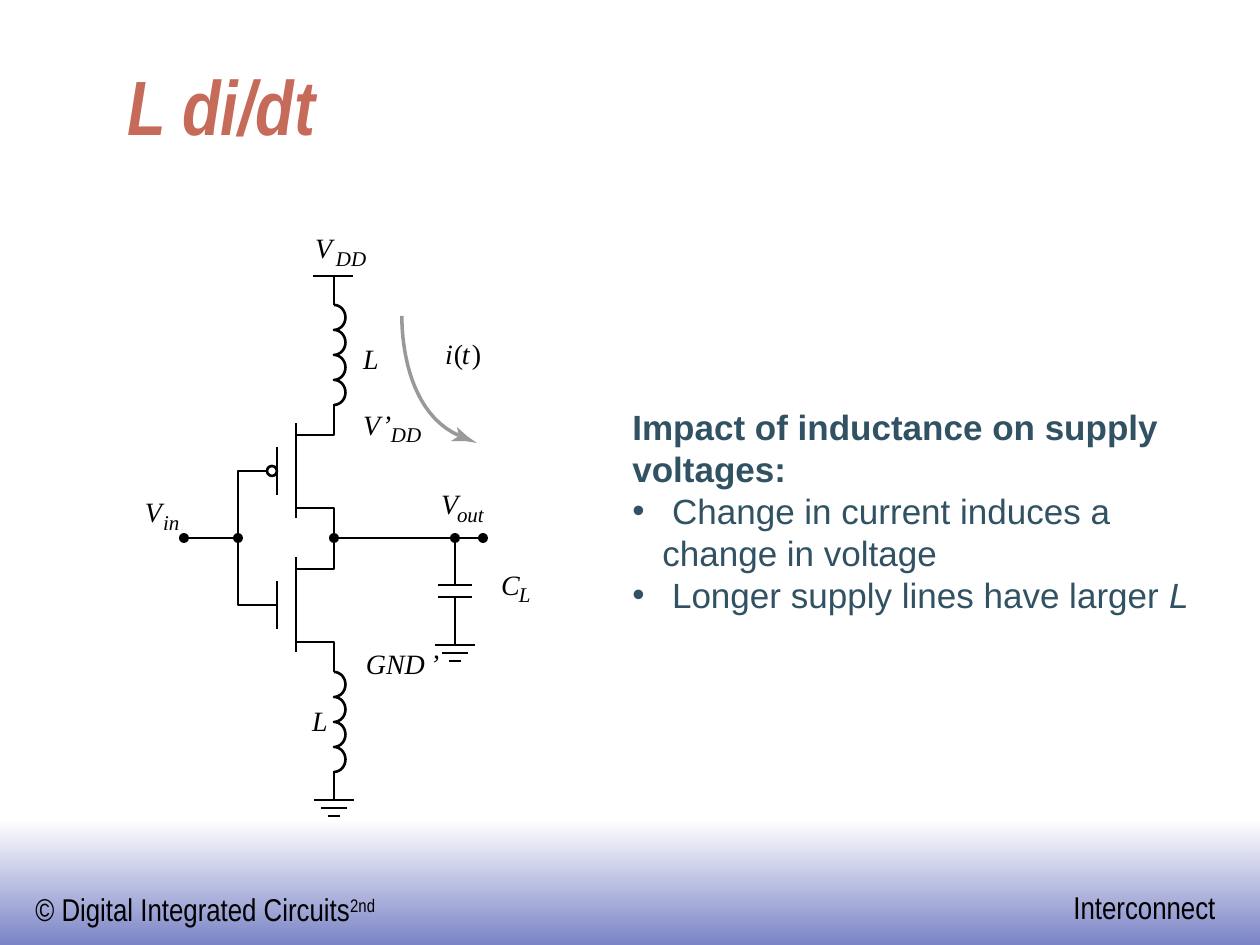
"""Build the slide on inductive supply noise, with its inverter circuit."""
import math
from dataclasses import dataclass

import pptx
import pptx.dml.color
import pptx.enum.shapes
import pptx.enum.text
import pptx.oxml.ns
import pptx.util

PX = 914400 / 126
BLACK, GREY, RUST, TEAL = "000000", "999999", "C66B5A", "315263"
THIN, THICK = 1, 1.5
GATE_X, PLATE_X, CHANNEL_X, SUPPLY_X, LOAD_X = 238, 277, 296, 334, 455
MID_Y = 538
Point = tuple[float, float]


@dataclass
class Run:
    """A stretch of text in one style."""
    text: str
    size: int
    font: str
    color: str = BLACK
    bold: bool = False
    italic: bool = False
    raised: bool = False


@dataclass
class Label:
    """A circuit symbol and its place."""
    text: str
    x: int
    y: int
    width: int
    size: int = 16
    italic: bool = True


LABELS = [
    Label("C", 501, 568, 19), Label("L", 519, 582, 13, 12),
    Label("V", 363, 408, 19), Label("’", 382, 408, 10), Label("DD", 391, 422, 32, 12),
    Label("V", 315, 231, 19), Label("DD", 336, 246, 32, 12),
    Label("L", 363, 342, 18),
    Label("i", 445, 337, 9), Label("(", 454, 337, 10, italic=False),
    Label("t", 462, 337, 10), Label(")", 472, 337, 10, italic=False),
    Label("V", 441, 487, 19), Label("out", 457, 502, 33, 12),
    Label("V", 145, 495, 19), Label("in", 163, 510, 19, 12),
    Label("GND", 366, 646, 64), Label("’", 430, 646, 10),
    Label("L", 312, 704, 18),
]


def emu(px: float) -> int:
    """Turn px into EMU."""
    return round(px * PX)


def rgb(color: str) -> pptx.dml.color.RGBColor:
    """Turn a hex string into a colour."""
    return pptx.dml.color.RGBColor.from_string(color)


def add_text(shapes, box: tuple, paragraphs: list[list[Run]], wrap: bool = False,
             inset: tuple[float, float] = (12.6, 6.3), anchor: str = "TOP"):
    """Add a text box made of runs and return its text frame."""
    frame = shapes.add_textbox(*map(emu, box)).text_frame
    frame.word_wrap = wrap
    if not wrap:
        frame.auto_size = pptx.enum.text.MSO_AUTO_SIZE.SHAPE_TO_FIT_TEXT
    frame.vertical_anchor = pptx.enum.text.MSO_ANCHOR[anchor]
    frame.margin_left = frame.margin_right = emu(inset[0])
    frame.margin_top = frame.margin_bottom = emu(inset[1])
    for index, runs in enumerate(paragraphs):
        paragraph = frame.add_paragraph() if index else frame.paragraphs[0]
        for part in runs:
            run = paragraph.add_run()
            run.text = part.text
            run.font.size = pptx.util.Pt(part.size)
            run.font.name = part.font
            run.font.bold, run.font.italic = part.bold, part.italic
            run.font.color.rgb = rgb(part.color)
            if part.raised:
                run._r.get_or_add_rPr().set("baseline", "30000")
    return frame


def add_bullet(paragraph, color: str, indent: int) -> None:
    """Give a paragraph a hanging bullet."""
    properties = paragraph._p.get_or_add_pPr()
    properties.set("marL", str(emu(indent)))
    properties.set("indent", str(-emu(indent)))
    tint = properties.makeelement(pptx.oxml.ns.qn("a:buClr"), {})
    tint.append(tint.makeelement(pptx.oxml.ns.qn("a:srgbClr"), {"val": color}))
    properties.append(tint)
    for tag, name, value in (("a:buFont", "typeface", "Arial"), ("a:buChar", "char", "•")):
        properties.append(properties.makeelement(pptx.oxml.ns.qn(tag), {name: value}))


def add_line(shapes, start: Point, end: Point, width: float = THICK) -> None:
    """Draw one straight wire."""
    wire = shapes.add_connector(pptx.enum.shapes.MSO_CONNECTOR.STRAIGHT,
                                *map(emu, (*start, *end)))
    wire.line.width = pptx.util.Pt(width)
    wire.line.color.rgb = rgb(BLACK)
    wire._element.spPr.append(wire._element.makeelement(pptx.oxml.ns.qn("a:effectLst"), {}))


def paint(shape, fill: str | None, line: str | None, width: float = THICK) -> None:
    """Set fill and outline, and drop the shadow."""
    shape.shadow.inherit = False
    if fill:
        shape.fill.solid()
        shape.fill.fore_color.rgb = rgb(fill)
    else:
        shape.fill.background()
    if line:
        shape.line.color.rgb = rgb(line)
        shape.line.width = pptx.util.Pt(width)
    else:
        shape.line.fill.background()


def add_path(shapes, points: list[Point], fill: str | None = None,
             line: str | None = BLACK, width: float = THICK) -> None:
    """Draw a bent wire, or a filled outline."""
    corners = [(emu(x), emu(y)) for x, y in points]
    builder = shapes.build_freeform(*corners[0])
    builder.add_line_segments(corners[1:], close=fill is not None)
    paint(builder.convert_to_shape(), fill, line, width)


def add_circle(shapes, x: int, y: int, fill: str | None, line: str | None = None) -> None:
    """Draw a small circle around a point."""
    paint(shapes.add_shape(pptx.enum.shapes.MSO_SHAPE.OVAL,
                           *map(emu, (x - 5, y - 5, 10, 10))), fill, line)


def add_inductor(shapes, top: int) -> None:
    """Draw four half turns down the supply line."""
    turns, radius, steps = 4, 12.5, 16
    points = []
    for step in range(turns * steps + 1):
        turn, part = divmod(step, steps)
        angle = math.pi * part / steps
        points.append((SUPPLY_X + 11.5 * math.sin(angle),
                       top + radius * (2 * turn + 1 - math.cos(angle))))
    add_path(shapes, points)


def add_transistor(shapes, top: int) -> None:
    """Draw channel, gate plate and both terminals."""
    add_line(shapes, (CHANNEL_X, top), (CHANNEL_X, top + 95))
    add_line(shapes, (PLATE_X, top + 24), (PLATE_X, top + 72))
    for inner, outer in ((top + 12, top - 19), (top + 85, top + 115)):
        add_path(shapes, [(CHANNEL_X, inner), (SUPPLY_X, inner), (SUPPLY_X, outer)])


def add_ground(shapes, x: int, y: int) -> None:
    """Draw three shrinking ground bars."""
    for row, half in enumerate((20, 13, 6)):
        add_line(shapes, (x - half, y + 8 * row), (x + half, y + 8 * row))


def bezier(*controls: Point, steps: int = 24) -> list[Point]:
    """Return points along a cubic curve."""
    return [tuple(sum(math.comb(3, k) * (1 - t) ** (3 - k) * t ** k * c[axis]
                      for k, c in enumerate(controls)) for axis in (0, 1))
            for t in (step / steps for step in range(steps + 1))]


def add_circuit(shapes) -> None:
    """Draw the inverter with its supply inductors and load."""
    for top in (305, 672):
        add_inductor(shapes, top)
    for top in (423, 557):
        add_transistor(shapes, top)
    add_path(shapes, [(267, 471), (GATE_X, 471), (GATE_X, 605), (PLATE_X, 605)])
    add_line(shapes, (184, MID_Y), (GATE_X, MID_Y))
    for start, end in (((313, 276), (353, 276)), ((SUPPLY_X, 276), (SUPPLY_X, 305)),
                       ((SUPPLY_X, 771), (SUPPLY_X, 800)), ((SUPPLY_X, MID_Y), (483, MID_Y)),
                       ((LOAD_X, MID_Y), (LOAD_X, 585)), ((LOAD_X, 597), (LOAD_X, 645))):
        add_line(shapes, start, end, THIN)
    for y in (585, 597):
        add_line(shapes, (LOAD_X - 17, y), (LOAD_X + 17, y))
    add_ground(shapes, LOAD_X, 645)
    add_ground(shapes, SUPPLY_X, 800)
    for x in (184, GATE_X, SUPPLY_X, LOAD_X, 483):
        add_circle(shapes, x, MID_Y, BLACK)
    add_circle(shapes, 272, 471, None, BLACK)
    for label in LABELS:
        symbol = Run(label.text, label.size, "Times New Roman", italic=label.italic)
        add_text(shapes, (label.x, label.y, label.width, 2 * label.size + 2),
                 [[symbol]], inset=(0, 0))
    add_path(shapes, bezier((402, 316), (402, 316), (399, 410), (460, 436)),
             line=GREY, width=2)
    add_path(shapes, [(459, 436), (457, 427), (467, 436), (477, 443), (465, 441), (451, 441)],
             fill=GREY, line=None)


def main() -> None:
    """Build and save the slide."""
    deck = pptx.Presentation()
    deck.slide_width, deck.slide_height = emu(1260), emu(945)
    shapes = deck.slides.add_slide(deck.slide_layouts[6]).shapes

    band = shapes.add_shape(pptx.enum.shapes.MSO_SHAPE.RECTANGLE,
                            *map(emu, (0, 819, 1260, 126)))
    paint(band, None, None)
    band.fill.gradient()
    band.fill.gradient_angle = 270
    for stop, color in zip(band.fill.gradient_stops, ("FFFFFF", "7B84C6")):
        stop.color.rgb = rgb(color)

    narrow = "Arial Narrow"
    add_text(shapes, (23, 884, 366, 50), [[Run("© Digital Integrated Circuits", 18, narrow),
                                           Run("2nd", 18, narrow, raised=True)]])
    add_text(shapes, (1061, 882, 168, 50), [[Run("Interconnect", 18, narrow)]])
    add_text(shapes, (115, 41, 872, 116),
             [[Run("L di/dt", 44, narrow, RUST, bold=True, italic=True)]],
             wrap=True, anchor="BOTTOM")

    impact = add_text(shapes, (620, 399, 591, 223), [
        [Run("Impact of inductance on supply voltages:", 20, "Arial", TEAL, bold=True)],
        [Run(" Change in current induces a change in voltage", 20, "Arial", TEAL)],
        [Run(" Longer supply lines have larger ", 20, "Arial", TEAL),
         Run("L", 20, "Arial", TEAL, italic=True)]], wrap=True)
    for paragraph in impact.paragraphs:
        paragraph.line_spacing = pptx.util.Pt(24)
    for paragraph in impact.paragraphs[1:]:
        add_bullet(paragraph, TEAL, 30)

    add_circuit(shapes)
    deck.save("out.pptx")


if __name__ == "__main__":
    main()
